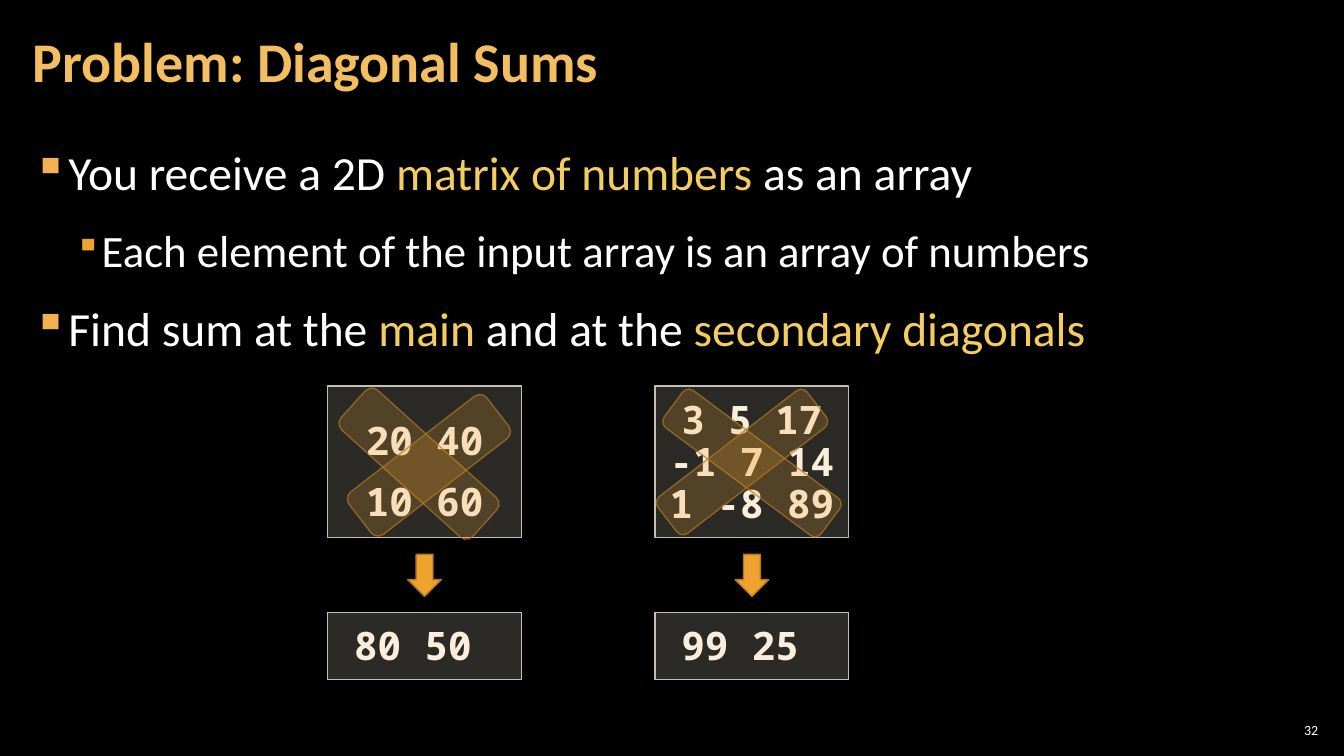
"""Build the Diagonal Sums problem slide."""
from lxml.etree import SubElement as Sub
from pptx import Presentation
from pptx.dml.color import RGBColor
from pptx.enum.shapes import MSO_SHAPE as Shape
from pptx.enum.text import MSO_ANCHOR as Anchor, PP_ALIGN as Align
from pptx.oxml.ns import qn
from pptx.util import Cm, Pt

BLACK = RGBColor(0x00, 0x00, 0x00)
WHITE = RGBColor(0xFF, 0xFF, 0xFF)
GOLD = RGBColor(0xF3, 0xBE, 0x60)
YELLOW = RGBColor(0xF3, 0xCD, 0x60)
CREAM = RGBColor(0xFB, 0xEE, 0xDC)
SAND = RGBColor(0xD9, 0xD5, 0xC7)
EDGE = RGBColor(0xC7, 0xBF, 0xAC)
ORANGE = RGBColor(0xF0, 0xA2, 0x2E)
BROWN = RGBColor(0xB2, 0x78, 0x22)
SANS, MONO = "Calibri", "Noto Sans Mono"

TITLE = "Problem: Diagonal Sums"
NUMBER = "32"
POINTS = [
    (0, [("You receive a 2D ", WHITE), ("matrix of numbers", YELLOW),
         (" as an array", WHITE)]),
    (1, [("Each element of the input array is an array of numbers", WHITE)]),
    (0, [("Find sum at the ", WHITE), ("main", YELLOW),
         (" and at the ", WHITE), ("secondary diagonals", YELLOW)]),
]
# level: size, margin, hang, bullet colour, bullet percent
LEVELS = [(34, 0.84, 0.84, "F2B254", 100), (32, 1.7, 0.64, "F0A22E", 80)]
# rows, spacing, sums, strips as (dx, dy, width, height, angle)
CASES = [
    (["20 40", "10 60"], 1.3, "80 50 ",
     [(-0.14, 0.05, 1.35, 4.47, 312.1), (0.11, 0.09, 1.35, 4.39, 52.3)]),
    (["3 5 17", "-1 7 14", "1 -8 89"], 0.9, "99 25 ",
     [(0, 0.03, 1.17, 4.93, 306.6), (-0.25, 0.01, 1.17, 4.75, 52.4)]),
]
LEFT, STEP, WIDE = 8.26, 8.25, 4.88
GRID_TOP, GRID_H = 9.73, 3.81
ARROW_TOP, ARROW_W, ARROW_H = 13.97, 0.85, 1.06
SUM_TOP, SUM_H = 15.44, 1.69


def add_run(para, text, size, color, bold=False, font=SANS):
    run = para.add_run()
    run.text = text
    run.font.size, run.font.name, run.font.bold = Pt(size), font, bold
    run.font.color.rgb = color


def set_frame(frame, sides, top, low, anchor):
    frame.word_wrap = True
    frame.margin_left = frame.margin_right = Cm(sides)
    frame.margin_top, frame.margin_bottom = Cm(top), Cm(low)
    frame.vertical_anchor = anchor


def add_text(slide, x, y, w, h, sides, anchor):
    frame = slide.shapes.add_textbox(Cm(x), Cm(y), Cm(w), Cm(h)).text_frame
    set_frame(frame, sides, 0.1, 0.1, anchor)
    return frame


def next_para(frame, index):
    return frame.add_paragraph() if index else frame.paragraphs[0]


def set_alpha(fill, percent):
    color = fill._xPr.find(qn("a:solidFill"))[0]
    Sub(color, qn("a:alpha"), val=str(percent * 1000))


def add_shape(slide, kind, x, y, w, h, color, edge, alpha=100, edge_alpha=100):
    shape = slide.shapes.add_shape(kind, Cm(x), Cm(y), Cm(w), Cm(h))
    shape.shadow.inherit = False
    shape.fill.solid()
    shape.fill.fore_color.rgb = color
    shape.line.color.rgb = edge
    shape.line.width = Pt(1)
    for fill, part in ((shape.fill, alpha), (shape.line.fill, edge_alpha)):
        if part < 100:
            set_alpha(fill, part)
    return shape


def add_box(slide, x, y, h, rows, space):
    box = add_shape(slide, Shape.RECTANGLE, x, y, WIDE, h, SAND, EDGE, 20)
    set_frame(box.text_frame, 0.25, 0.2, 0.1, Anchor.MIDDLE)
    for i, row in enumerate(rows):
        para = next_para(box.text_frame, i)
        para.alignment, para.line_spacing = Align.CENTER, space
        add_run(para, row, 28, CREAM, True, MONO)


def add_point(frame, index, level, parts):
    size, margin, hang, color, percent = LEVELS[level]
    para = next_para(frame, index)
    para.level = level
    props = para._p.get_or_add_pPr()
    props.set("marL", str(Cm(margin)))
    props.set("indent", str(-Cm(hang)))
    Sub(Sub(props, qn("a:buClr")), qn("a:srgbClr"), val=color)
    Sub(props, qn("a:buSzPct"), val=str(percent * 1000))
    Sub(props, qn("a:buChar"), char="▪")
    para.line_spacing = 1.1
    para.space_before, para.space_after = Pt(6 if index else 0), Pt(6)
    for text, tint in parts:
        add_run(para, text, size, tint)


def add_case(slide, x, rows, space, sums, strips):
    mid_x, mid_y = x + WIDE / 2, GRID_TOP + GRID_H / 2
    add_box(slide, x, GRID_TOP, GRID_H, rows, space)
    add_box(slide, x, SUM_TOP, SUM_H, [sums], 0.9)
    add_shape(slide, Shape.DOWN_ARROW, mid_x - ARROW_W / 2, ARROW_TOP,
              ARROW_W, ARROW_H, ORANGE, BROWN)
    for dx, dy, w, h, angle in strips:
        strip = add_shape(slide, Shape.ROUNDED_RECTANGLE, mid_x + dx - w / 2,
                          mid_y + dy - h / 2, w, h, ORANGE, BROWN, 20, 70)
        strip.rotation = angle


def main():
    deck = Presentation()
    deck.slide_width, deck.slide_height = Cm(33.87), Cm(19.05)
    slide = deck.slides.add_slide(deck.slide_layouts[6])
    slide.background.fill.solid()
    slide.background.fill.fore_color.rgb = BLACK

    page = add_text(slide, 32.13, 18.14, 1.19, 0.53, 0.1, Anchor.MIDDLE)
    page.paragraphs[0].alignment = Align.RIGHT
    add_run(page.paragraphs[0], NUMBER, 10, WHITE)

    body = add_text(slide, 0.53, 3.36, 32.8, 15.25, 0.3, Anchor.TOP)
    for i, (level, parts) in enumerate(POINTS):
        add_point(body, i, level, parts)

    head = add_text(slide, 0.53, 0.1, 26.6, 3.07, 0.3, Anchor.MIDDLE)
    head.paragraphs[0].line_spacing = 0.9
    add_run(head.paragraphs[0], TITLE, 40, GOLD, True)

    for i, case in enumerate(CASES):
        add_case(slide, LEFT + i * STEP, *case)
    deck.save("out.pptx")


if __name__ == "__main__":
    main()
